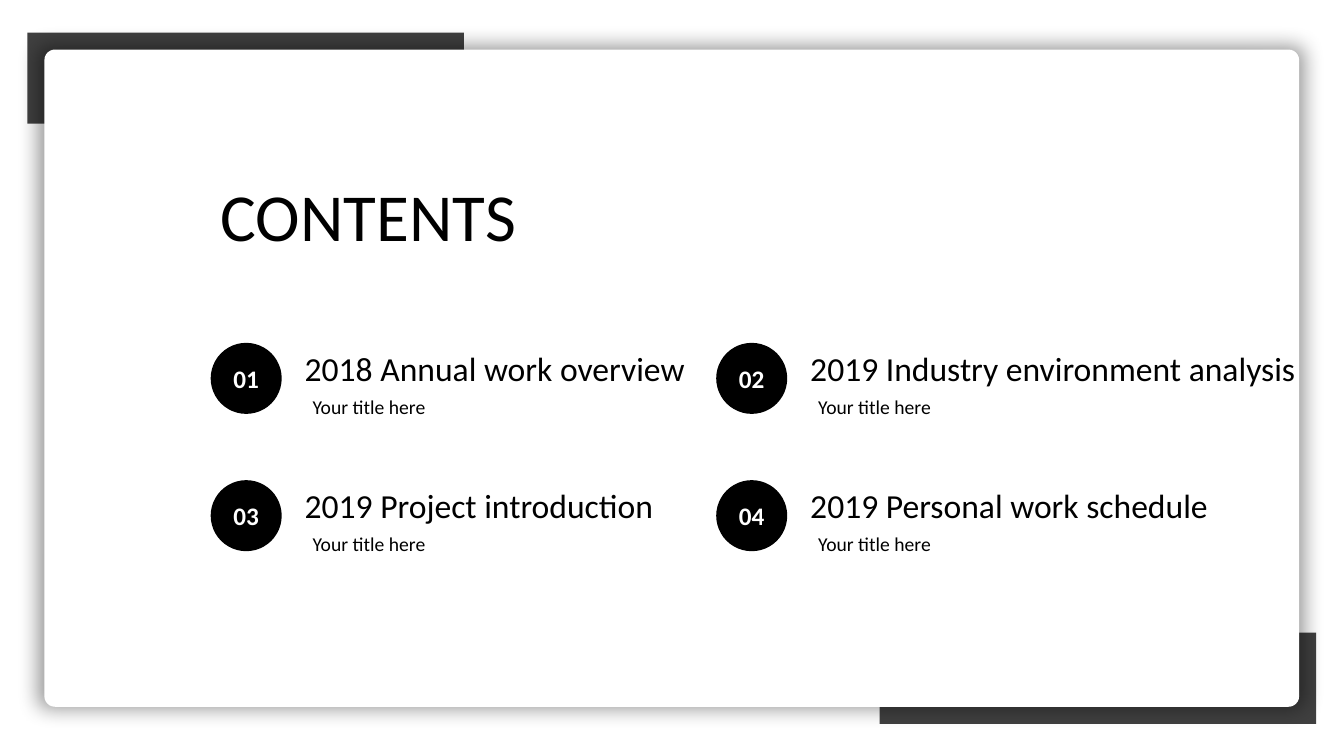
import pptx
import pptx.util
import pptx.dml.color
import pptx.enum.shapes
import pptx.enum.text
import pptx.oxml
import pptx.oxml.ns

Cm = pptx.util.Cm
SHAPE = pptx.enum.shapes.MSO_SHAPE
ALIGN = pptx.enum.text.PP_ALIGN
ANCHOR = pptx.enum.text.MSO_ANCHOR

COLORS = {"ink": "000000", "paper": "FFFFFF", "bar": "404040"}
FONT = "Calibri"
SUBTITLE = "Your title here"
TOPICS = [
    "2018 Annual work overview",
    "2019 Industry environment analysis",
    "2019 Project introduction",
    "2019 Personal work schedule",
]
HEADING_WIDTHS = [10.29, 13]
COLUMN_PITCH, ROW_PITCH = 12.74, 3.46


def rgb(name):
    return pptx.dml.color.RGBColor.from_string(COLORS[name])


def add_panel(slide, kind, box, color):
    panel = slide.shapes.add_shape(kind, *map(Cm, box))
    panel.shadow.inherit = False
    panel.fill.solid()
    panel.fill.fore_color.rgb = rgb(color)
    panel.line.fill.background()
    return panel


def write(holder, text, size, color="ink", align=ALIGN.JUSTIFY, bold=False):
    frame = holder.text_frame
    frame.word_wrap = True
    frame.text = text
    paragraph = frame.paragraphs[0]
    paragraph.alignment = align
    paragraph.font.name = FONT
    paragraph.font.size = pptx.util.Pt(size)
    paragraph.font.bold = bold
    paragraph.font.color.rgb = rgb(color)


def add_soft_shadow(card):
    effects = card.element.spPr.find(pptx.oxml.ns.qn("a:effectLst"))
    effects.append(pptx.oxml.parse_xml(
        f'<a:outerShdw {pptx.oxml.ns.nsdecls("a")} blurRad="{Cm(0.5)}" dist="0" '
        'sx="101000" sy="101000" algn="ctr" rotWithShape="0">'
        f'<a:srgbClr val="{COLORS["ink"]}"><a:alpha val="40000"/></a:srgbClr>'
        '</a:outerShdw>'))


def add_framed_card(slide, left, top, width, height):
    bar_width, bar_height, overhang = 11, 2.3, 0.43
    right_bar = left + width + overhang - bar_width
    bottom_bar = top + height + overhang - bar_height
    for x, y in [(right_bar, bottom_bar), (left - overhang, top - overhang)]:
        add_panel(slide, SHAPE.RECTANGLE, (x, y, bar_width, bar_height), "bar")
    card = add_panel(slide, SHAPE.ROUNDED_RECTANGLE, (left, top, width, height), "paper")
    card.adjustments[0] = 0.016
    add_soft_shadow(card)
    return card


def place_title(slide, card, left, top, width, height):
    title = slide.shapes.title
    card.element.addnext(title.element)
    title.left, title.top, title.width, title.height = map(Cm, (left, top, width, height))
    write(title, "CONTENTS", 48)
    title.text_frame.vertical_anchor = ANCHOR.TOP
    title.text_frame.auto_size = pptx.enum.text.MSO_AUTO_SIZE.NONE


def add_topic(slide, number, topic, left, top, heading_width):
    disc = add_panel(slide, SHAPE.OVAL, (left, top, 1.79, 1.79), "ink")
    write(disc, f"{number:02}", 18, "paper", ALIGN.CENTER, bold=True)
    disc.text_frame.vertical_anchor = ANCHOR.MIDDLE
    disc.text_frame.margin_left = disc.text_frame.margin_right = 0
    heading = slide.shapes.add_textbox(
        Cm(left + 2.12), Cm(top), Cm(heading_width), Cm(1.27))
    write(heading, topic, 24)
    subtitle = slide.shapes.add_textbox(
        Cm(left + 2.32), Cm(top + 1.19), Cm(7.44), Cm(0.86))
    write(subtitle, SUBTITLE, 14)


def add_topic_grid(slide, left, top):
    for index, topic in enumerate(TOPICS):
        row, column = divmod(index, 2)
        add_topic(slide, index + 1, topic, left + column * COLUMN_PITCH,
                  top + row * ROW_PITCH, HEADING_WIDTHS[column])


def build_contents_slide(deck):
    slide = deck.slides.add_slide(deck.slide_layouts[5])
    card = add_framed_card(slide, 1.12, 1.25, 31.62, 16.56)
    place_title(slide, card, 5.31, 4.27, 8.26, 2.31)
    add_topic_grid(slide, 5.31, 8.64)


def main():
    deck = pptx.Presentation()
    deck.slide_width, deck.slide_height = Cm(33.87), Cm(19.05)
    build_contents_slide(deck)
    deck.save("out.pptx")


if __name__ == "__main__":
    main()
